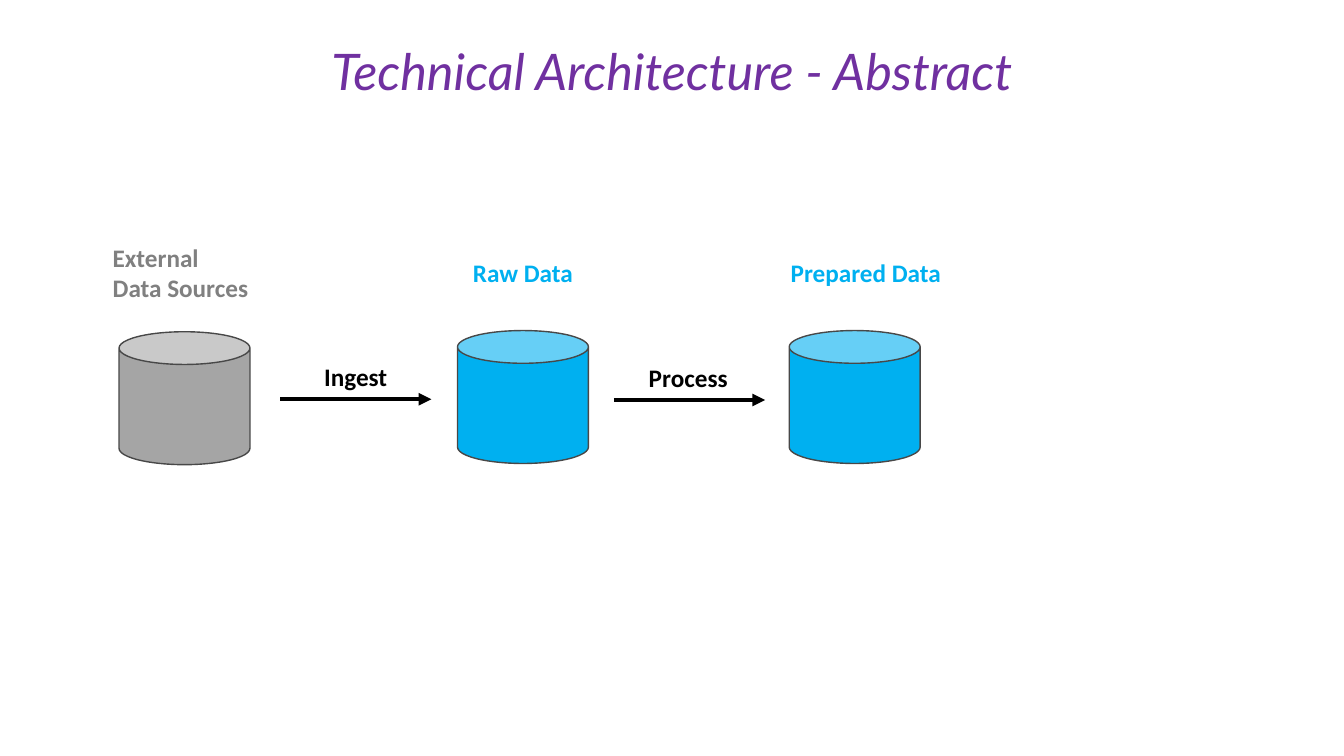
from dataclasses import dataclass

from lxml import etree
from pptx import Presentation, util as u
from pptx.dml.color import RGBColor
from pptx.enum import shapes, text
from pptx.oxml.ns import qn


@dataclass(frozen=True)
class Theme:
    purple: str = "7030A0"
    blue: str = "00B0F0"
    gray: str = "A5A5A5"
    muted: str = "808080"
    edge: str = "484848"
    black: str = "000000"
    head: str = "Lato"
    body: str = "Calibri"
    large: int = 36
    small: int = 18


LEFT = text.PP_ALIGN.LEFT
CENTER = text.PP_ALIGN.CENTER


class Deck:
    def __init__(self, theme):
        self.theme = theme
        self.prs = Presentation()
        self.prs.slide_width = u.Cm(33.87)
        self.prs.slide_height = u.Cm(19.05)
        self.slide = self.prs.slides.add_slide(self.prs.slide_layouts[5])

    def place(self, shape, box):
        for name, value in zip(("left", "top", "width", "height"), box):
            setattr(shape, name, u.Cm(value))

    def letter(self, frame, words, color, align, wrap=True, **font):
        form = {"word_wrap": wrap, "auto_size": text.MSO_AUTO_SIZE.NONE,
                "vertical_anchor": text.MSO_ANCHOR.TOP}
        for name, value in form.items():
            setattr(frame, name, value)
        frame.text = words
        for para in frame.paragraphs:
            para.alignment = align
            for run in para.runs:
                run.font.color.rgb = RGBColor.from_string(color)
                for name, value in font.items():
                    setattr(run.font, name, value)

    def title(self, words, box):
        t = self.theme
        shape = self.slide.shapes.title
        self.place(shape, box)
        self.letter(shape.text_frame, words, t.purple, CENTER,
                    name=t.head, size=u.Pt(t.large), italic=True)

    def label(self, words, box, color, align=LEFT, wrap=True):
        t = self.theme
        shape = self.slide.shapes.add_textbox(*map(u.Cm, box))
        self.letter(shape.text_frame, words, color, align, wrap,
                    name=t.body, size=u.Pt(t.small), bold=True)

    def store(self, left, top, color):
        box = map(u.Cm, (left, top, 3.3, 3.35))
        can = self.slide.shapes.add_shape(shapes.MSO_SHAPE.CAN, *box)
        can.shadow.inherit = False
        can.fill.solid()
        can.fill.fore_color.rgb = RGBColor.from_string(color)
        self.line(can.line, self.theme.edge, 1)

    def line(self, line, color, width):
        line.color.rgb = RGBColor.from_string(color)
        line.width = u.Pt(width)

    def arrow(self, left, top):
        ends = map(u.Cm, (left, top, left + 3.81, top))
        link = self.slide.shapes.add_connector(
            shapes.MSO_CONNECTOR.STRAIGHT, *ends)
        self.line(link.line, self.theme.black, 3)
        props = link.element.spPr
        tip = etree.SubElement(props.find(qn("a:ln")), qn("a:tailEnd"))
        tip.set("type", "triangle")
        etree.SubElement(props, qn("a:effectLst"))


def main():
    t = Theme()
    deck = Deck(t)
    deck.title("Technical Architecture - Abstract", (0, 0.89, 33.87, 1.8))

    deck.label("External\nData Sources", (2.59, 5.97, 4.14, 1.8), t.muted)
    for words, left in (("Raw Data", 10.64), ("Prepared Data", 19.28)):
        deck.label(words, (left, 6.35, 5.08, 1.02), t.blue, CENTER)

    for left, top, color in ((3, 8.36, t.gray), (11.53, 8.33, t.blue),
                             (19.89, 8.33, t.blue)):
        deck.store(left, top, color)

    for words, left, width, start, top in (
            ("Ingest", 7.92, 2.11, 7.06, 10.06),
            ("Process", 16.1, 2.51, 15.47, 10.08)):
        deck.arrow(start, top)
        deck.label(words, (left, top - 1.07, width, 1.02), t.black, wrap=False)

    deck.prs.save("out.pptx")


if __name__ == "__main__":
    main()
